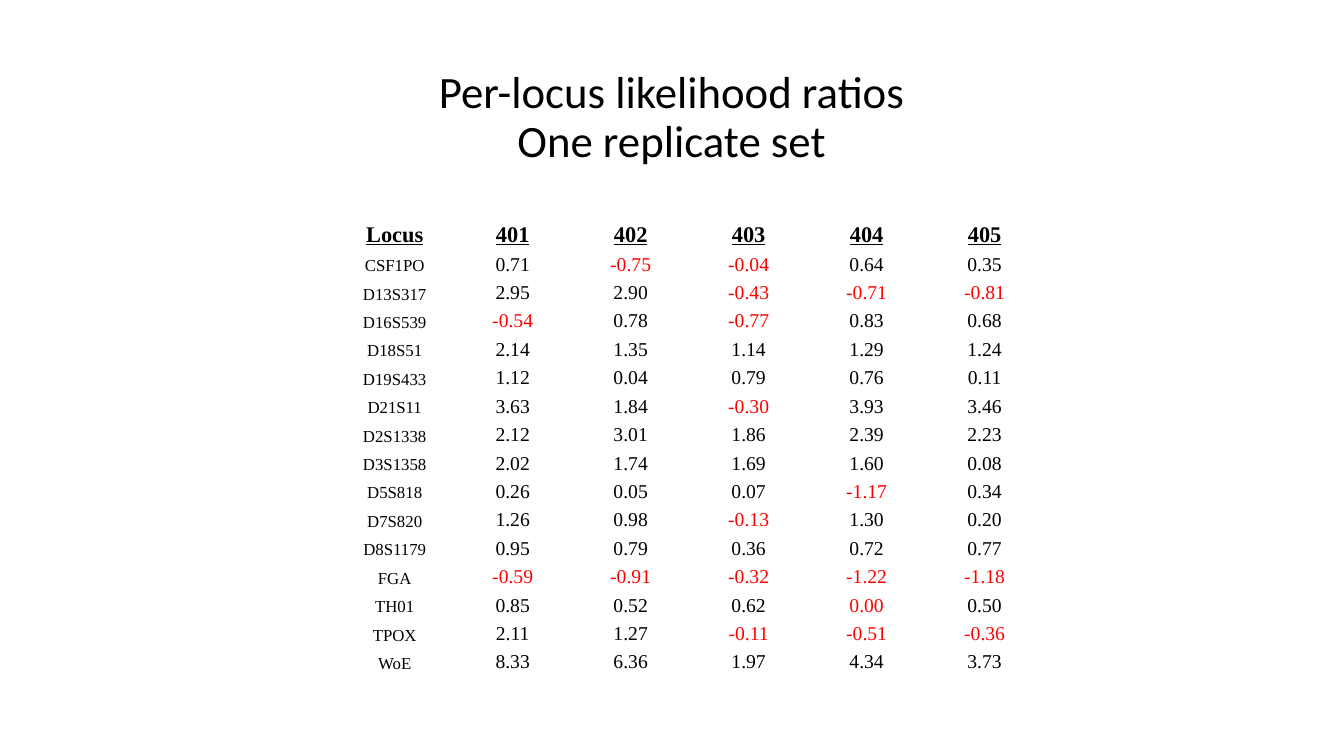
"""Build a slide with a table of per-locus likelihood ratios."""
from pptx import Presentation
from pptx.dml.color import RGBColor
from pptx.enum import text
from pptx.util import Pt

BLACK = RGBColor(0x00, 0x00, 0x00)
RED = RGBColor(0xFF, 0x00, 0x00)

SAMPLES = ["Locus", "401", "402", "403", "404", "405"]
RATIOS = {
    "CSF1PO": (0.71, -0.75, -0.04, 0.64, 0.35),
    "D13S317": (2.95, 2.90, -0.43, -0.71, -0.81),
    "D16S539": (-0.54, 0.78, -0.77, 0.83, 0.68),
    "D18S51": (2.14, 1.35, 1.14, 1.29, 1.24),
    "D19S433": (1.12, 0.04, 0.79, 0.76, 0.11),
    "D21S11": (3.63, 1.84, -0.30, 3.93, 3.46),
    "D2S1338": (2.12, 3.01, 1.86, 2.39, 2.23),
    "D3S1358": (2.02, 1.74, 1.69, 1.60, 0.08),
    "D5S818": (0.26, 0.05, 0.07, -1.17, 0.34),
    "D7S820": (1.26, 0.98, -0.13, 1.30, 0.20),
    "D8S1179": (0.95, 0.79, 0.36, 0.72, 0.77),
    "FGA": (-0.59, -0.91, -0.32, -1.22, -1.18),
    "TH01": (0.85, 0.52, 0.62, 0.00, 0.50),
    "TPOX": (2.11, 1.27, -0.11, -0.51, -0.36),
    "WoE": (8.33, 6.36, 1.97, 4.34, 3.73),
}


class SlideBuilder:
    title_font = "Calibri"
    table_font = "Times New Roman"

    def __init__(self, slide):
        self.slide = slide

    def style(self, paragraph, font_name, size, color=BLACK, heading=False):
        paragraph.alignment = text.PP_ALIGN.CENTER
        for run in paragraph.runs:
            run.font.name = font_name
            run.font.size = Pt(size)
            run.font.color.rgb = color
            run.font.bold = heading
            run.font.underline = heading

    def title(self, wording, left, top, width, height):
        shape = self.slide.shapes.add_textbox(Pt(left), Pt(top), Pt(width), Pt(height))
        frame = shape.text_frame
        frame.word_wrap = True
        frame.vertical_anchor = text.MSO_ANCHOR.MIDDLE
        frame.text = wording
        paragraph = frame.paragraphs[0]
        paragraph.line_spacing = 0.9
        self.style(paragraph, self.title_font, 32)

    def cell(self, cell, wording, size, color=BLACK, heading=False):
        cell.fill.background()
        cell.vertical_anchor = text.MSO_ANCHOR.BOTTOM
        cell.margin_left = cell.margin_right = cell.margin_top = Pt(0.7)
        cell.margin_bottom = 0
        cell.text_frame.text = wording
        self.style(cell.text_frame.paragraphs[0], self.table_font, size, color, heading)

    def ratio_table(self, left, top, column_width, header_height, row_height):
        row_count, column_count = len(RATIOS) + 1, len(SAMPLES)
        table = self.slide.shapes.add_table(
            row_count, column_count, Pt(left), Pt(top),
            Pt(column_width * column_count),
            Pt(header_height + row_height * len(RATIOS))).table
        table.horz_banding = False
        for column in table.columns:
            column.width = Pt(column_width)
        for index, row in enumerate(table.rows):
            row.height = Pt(row_height if index else header_height)
        for column, sample in enumerate(SAMPLES):
            self.cell(table.cell(0, column), sample, 16, heading=True)
        for row, (locus, ratios) in enumerate(RATIOS.items(), start=1):
            self.cell(table.cell(row, 0), locus, 12)
            for column, ratio in enumerate(ratios, start=1):
                color = BLACK if ratio > 0 else RED
                self.cell(table.cell(row, column), f"{ratio:.2f}", 14, color)


def main():
    presentation = Presentation()
    presentation.slide_width, presentation.slide_height = Pt(960), Pt(540)
    builder = SlideBuilder(presentation.slides.add_slide(presentation.slide_layouts[6]))
    builder.title("Per-locus likelihood ratios\vOne replicate set", 231, 32.4, 497.5, 104.4)
    builder.ratio_table(239.8, 151.2, 84.3, 25.2, 20.3)
    presentation.save("out.pptx")


if __name__ == "__main__":
    main()
